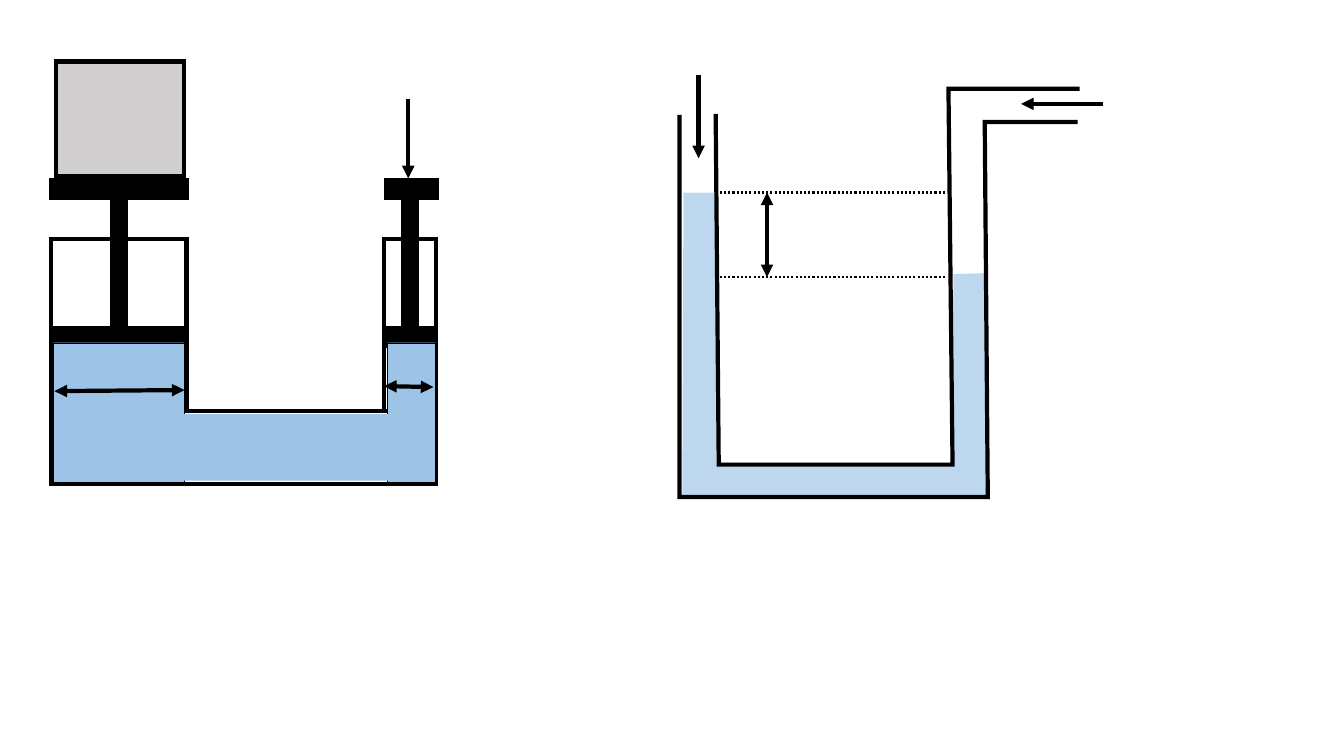
"""Draw a hydraulic press beside a U-tube manometer."""
from dataclasses import dataclass

from lxml import etree
from pptx import Presentation
from pptx.dml.color import RGBColor
from pptx.enum.dml import MSO_LINE
from pptx.enum.shapes import MSO_CONNECTOR, MSO_SHAPE
from pptx.oxml.ns import qn
from pptx.util import Pt

RECTANGLE = MSO_SHAPE.RECTANGLE
STRAIGHT = MSO_CONNECTOR.STRAIGHT
DOTTED = MSO_LINE.ROUND_DOT

BLACK = "000000"
LOAD_GREY = "D0CECE"
PRESS_BLUE = "9DC3E6"
MANOMETER_BLUE = "BDD7EE"
STROKE = 3


@dataclass(frozen=True)
class Block:
    """A rectangle of the press."""
    left: float
    top: float
    width: float
    height: float
    fill: str | None = None
    stroke: float = STROKE


@dataclass(frozen=True)
class Outline:
    """A freeform wall or body of liquid."""
    points: tuple[tuple[float, float], ...]
    fill: str | None = None
    stroke: float = STROKE


@dataclass(frozen=True)
class Segment:
    """A straight line with optional arrowheads."""
    start: tuple[float, float]
    end: tuple[float, float]
    ends: tuple[str, ...] = ()
    stroke: float = STROKE
    dotted: bool = False


FORCE = ("a:tailEnd",)
SPAN = ("a:headEnd", "a:tailEnd")

LARGE_LEFT, LARGE_WIDTH = 36.7, 96.5
SMALL_LEFT, SMALL_WIDTH = 274.3, 37.4
CYLINDER_TOP, CYLINDER_HEIGHT = 170.6, 123.1
ROD_TOP, ROD_WIDTH, ROD_HEIGHT = 144, 10.1, 90.7
PISTON_TOP, PLATFORM_TOP, PLATE_HEIGHT = 234.7, 128.9, 12.2
SMALL_PLATE_WIDTH = 36
LIQUID_TOP, LIQUID_HEIGHT = 244.8, 99.4

PRESS_BLOCKS = (
    Block(LARGE_LEFT, 293.8, 275, 51.8),
    Block(LARGE_LEFT, CYLINDER_TOP, LARGE_WIDTH, CYLINDER_HEIGHT),
    Block(SMALL_LEFT, CYLINDER_TOP, SMALL_WIDTH, CYLINDER_HEIGHT),
    Block(79.9, ROD_TOP, ROD_WIDTH, ROD_HEIGHT, BLACK),
    Block(288, ROD_TOP, ROD_WIDTH, ROD_HEIGHT, BLACK),
    Block(SMALL_LEFT, PISTON_TOP, SMALL_PLATE_WIDTH, PLATE_HEIGHT, BLACK),
    Block(LARGE_LEFT, PISTON_TOP, LARGE_WIDTH, PLATE_HEIGHT, BLACK),
    Block(LARGE_LEFT, PLATFORM_TOP, LARGE_WIDTH, PLATE_HEIGHT, BLACK),
    Block(275.8, PLATFORM_TOP, SMALL_PLATE_WIDTH, PLATE_HEIGHT, BLACK),
    Block(40.3, 43.9, 91.4, 82.1, LOAD_GREY),
    Block(276.5, LIQUID_TOP, 34.6, LIQUID_HEIGHT, PRESS_BLUE, 0.25),
    Block(38.2, LIQUID_TOP, 93.6, LIQUID_HEIGHT, PRESS_BLUE, 0.25),
    Block(85, 295.9, 224.6, 47.5, PRESS_BLUE, 0),
)
PRESS_ARROWS = (
    Segment((291.6, 70.6), (291.6, 127.4), FORCE),
    Segment((38.9, 279.4), (131.8, 278.6), SPAN),
    Segment((274.3, 275.8), (309.6, 276.5), SPAN),
)

HIGH_LEVEL, LOW_LEVEL = 137.5, 198
LEVEL_LEFT, LEVEL_RIGHT, HEIGHT_X = 511.2, 675.4, 547.9

MANOMETER_OUTLINES = (
    Outline(((488.2, HIGH_LEVEL), (487.4, 354.2), (704.9, 353.5),
             (704.2, 195.1), (681.1, 195.8), (679.7, 330.5),
             (511.9, 330.5), (511.9, HIGH_LEVEL)), MANOMETER_BLUE, 0),
    Outline(((485.3, 82.1), (485.3, 355), (705.6, 355),
             (703.4, 87.1), (769.7, 87.1))),
    Outline(((511.2, 81.4), (513.4, 331.9), (680.4, 331.9),
             (677.5, 63.4), (771.1, 63.4))),
)
MANOMETER_LINES = (
    Segment((499, 53.3), (499, 113), FORCE),
    Segment((787.7, 74.2), (729.4, 74.2), FORCE),
    *(Segment((LEVEL_LEFT, level), (LEVEL_RIGHT, level), stroke=1.5, dotted=True)
      for level in (HIGH_LEVEL, LOW_LEVEL)),
    Segment((HEIGHT_X, HIGH_LEVEL), (HEIGHT_X, LOW_LEVEL), SPAN),
)


def colour(value: str) -> RGBColor:
    """Turn a hex string into a colour."""
    return RGBColor.from_string(value)


def style_line(line, stroke: float) -> None:
    """Give a line its black mitred stroke, or hide it."""
    if not stroke:
        line.fill.background()
        return
    line.color.rgb = colour(BLACK)
    line.width = Pt(stroke)


def add_join(shape) -> etree._Element:
    """Mitre the corners of an outline and return its line element."""
    outline = shape.line._get_or_add_ln()
    etree.SubElement(outline, qn("a:miter"), lim="800000")
    return outline


def style_shape(shape, fill: str | None, stroke: float) -> None:
    """Set the fill and outline of a shape."""
    shape.shadow.inherit = False
    if fill:
        shape.fill.solid()
        shape.fill.fore_color.rgb = colour(fill)
    else:
        shape.fill.background()
    style_line(shape.line, stroke)
    add_join(shape)


def draw_block(group, block: Block) -> None:
    """Draw one rectangle."""
    shape = group.shapes.add_shape(RECTANGLE, Pt(block.left), Pt(block.top),
                                   Pt(block.width), Pt(block.height))
    style_shape(shape, block.fill, block.stroke)


def draw_outline(group, outline: Outline) -> None:
    """Draw one freeform, closed when it is filled."""
    start, *rest = [(Pt(x), Pt(y)) for x, y in outline.points]
    builder = group.shapes.build_freeform(*start)
    builder.add_line_segments(rest, close=outline.fill is not None)
    style_shape(builder.convert_to_shape(), outline.fill, outline.stroke)


def draw_segment(group, segment: Segment) -> None:
    """Draw one line with its dash and arrowheads."""
    ends = (Pt(value) for value in segment.start + segment.end)
    connector = group.shapes.add_connector(STRAIGHT, *ends)
    style_line(connector.line, segment.stroke)
    if segment.dotted:
        connector.line.dash_style = DOTTED
    line_element = add_join(connector)
    for tag in segment.ends:
        etree.SubElement(line_element, qn(tag), type="triangle")
    etree.SubElement(connector._element.spPr, qn("a:effectLst"))


def main() -> None:
    """Build and save the slide."""
    deck = Presentation()
    deck.slide_width, deck.slide_height = Pt(960), Pt(540)
    slide = deck.slides.add_slide(deck.slide_layouts[6])

    press = slide.shapes.add_group_shape()
    for block in PRESS_BLOCKS:
        draw_block(press, block)
    for arrow in PRESS_ARROWS:
        draw_segment(press, arrow)

    manometer = slide.shapes.add_group_shape()
    for outline in MANOMETER_OUTLINES:
        draw_outline(manometer, outline)
    for segment in MANOMETER_LINES:
        draw_segment(manometer, segment)

    deck.save("out.pptx")


if __name__ == "__main__":
    main()
